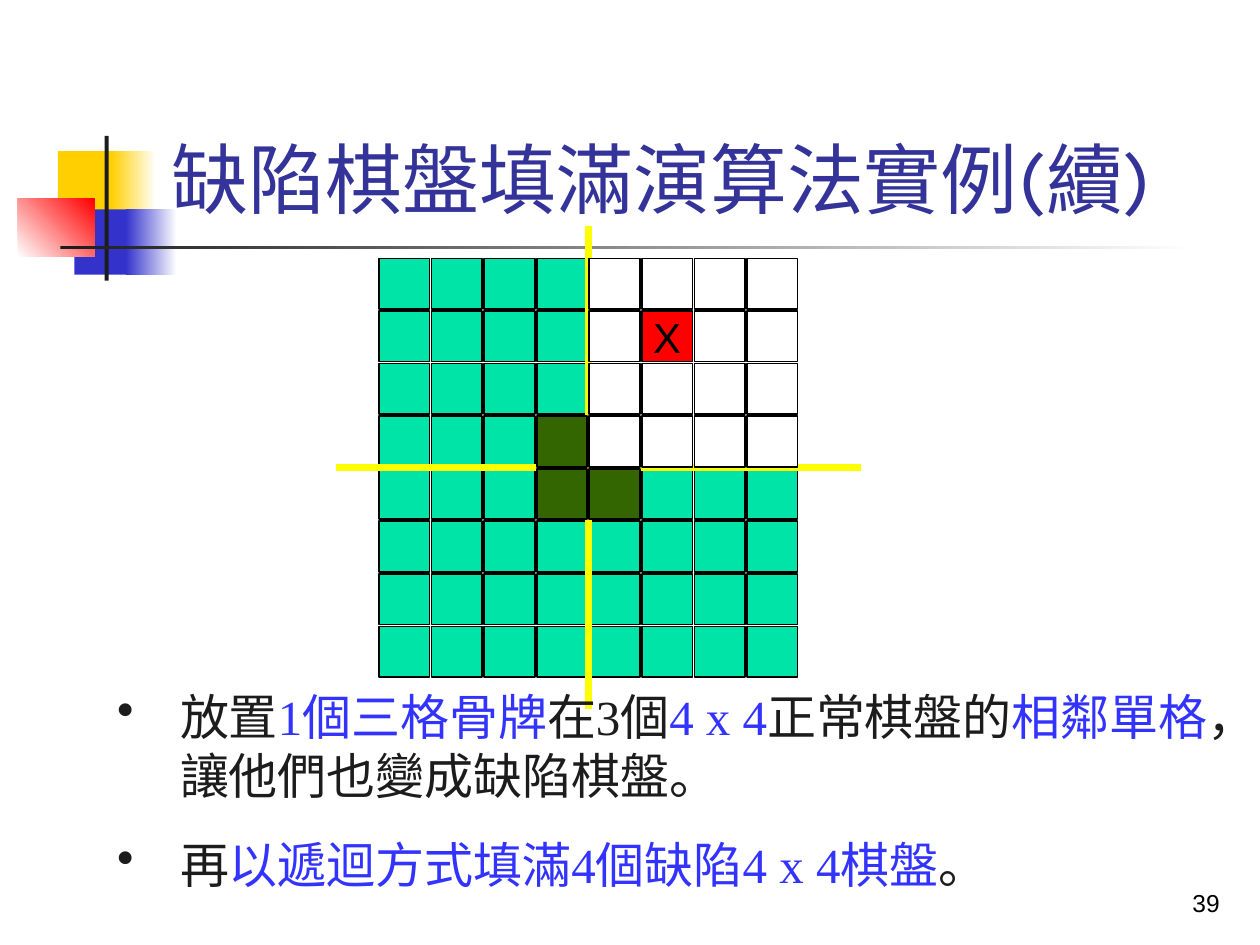
"""Build the slide on tiling a defective chessboard with triominoes."""
from itertools import product
from lxml.etree import SubElement
from pptx import Presentation
from pptx.dml.color import RGBColor
from pptx.enum.shapes import MSO_CONNECTOR, MSO_SHAPE
from pptx.enum.text import MSO_ANCHOR, PP_ALIGN
from pptx.oxml.ns import qn
from pptx.util import Cm, Pt


def rgb(value):
    return RGBColor.from_string(value)


def add_text(sp, runs, size, name, **frame):
    tf = sp.text_frame
    for key, value in frame.items():
        setattr(tf, key, value)
    p = tf.paragraphs[0]
    for text, color in runs:
        r = p.add_run()
        r.text = text
        for key, value in {"size": Pt(size), "name": name}.items():
            setattr(r.font, key, value)
        r.font.color.rgb = rgb(color)
    return p


prs = Presentation()
for key, value in {"slide_width": Cm(25.4), "slide_height": Cm(19.05)}.items():
    setattr(prs, key, value)
s = prs.slides.add_slide(prs.slide_layouts[6])

DARK, BLUE, BLACK, WHITE = "1C1C1C", "3333FF", "000000", "FFFFFF"
decor = [
    (1.17, 3.05, 1.22, 1.32, ["FFCF01"], 0),
    (2.24, 3.05, 0.91, 1.32, ["FFCF01", WHITE], 0),
    (1.5, 4.22, 1.17, 1.32, ["3333CC"], 0),
    (2.54, 4.22, 1.02, 1.32, ["3333CC", WHITE], 0),
    (0.36, 4.01, 1.55, 1.17, [WHITE, "FF0000"], 45),
    (2.11, 2.74, 0.08, 2.92, [DARK], 0),
    (1.22, 4.95, 22.86, 0.08, [DARK, WHITE], 0),
]
for x, y, w, h, colors, angle in decor:
    sp = s.shapes.add_shape(MSO_SHAPE.RECTANGLE, Cm(x), Cm(y), Cm(w), Cm(h))
    sp.shadow.inherit = False
    sp.line.fill.background()
    if len(colors) == 1:
        sp.fill.solid()
        sp.fill.fore_color.rgb = rgb(colors[0])
    else:
        sp.fill.gradient()
        sp.fill.gradient_angle = angle
        for stop, color in zip(sp.fill.gradient_stops, colors):
            stop.color.rgb = rgb(color)

left, top, pitch, side = 7.64, 5.21, 1.06, 1.02
triomino = [(3, 3), (4, 3), (4, 4)]
defect = (1, 5)
board = [c for c in product(range(8), repeat=2) if c not in triomino]
quadrant = [c for c in board if c[0] < 4 <= c[1]]
covered = [c for c in board if c not in quadrant]


def add_cells(cells, color):
    group = s.shapes.add_group_shape()
    for row, col in cells:
        sp = group.shapes.add_shape(MSO_SHAPE.RECTANGLE, Cm(left + col * pitch),
                                    Cm(top + row * pitch), Cm(side), Cm(side))
        sp.shadow.inherit = False
        sp.fill.solid()
        sp.fill.fore_color.rgb = rgb("FF0000" if (row, col) == defect else color)
        sp.line.color.rgb = rgb(BLACK)
        sp.line.width = Pt(1)
        if (row, col) == defect:
            p = add_text(sp, [("X", BLACK)], 24, "Arial", word_wrap=False,
                         vertical_anchor=MSO_ANCHOR.MIDDLE)
            p.alignment = PP_ALIGN.CENTER


add_cells(covered, "00E4A8")

for ends in [(11.86, 4.55, 11.86, 14.3), (6.78, 9.42, 17.35, 9.42)]:
    sp = s.shapes.add_connector(MSO_CONNECTOR.STRAIGHT, *map(Cm, ends))
    sp.line.color.rgb = rgb("FFFF00")
    sp.line.width = Pt(4)
    SubElement(sp._element.spPr, qn("a:effectLst"))

bullets = [
    (13.72, 2.64, [("放置", DARK), ("1個三格骨牌", BLUE), ("在3個", DARK),
                   ("4 x 4", BLUE), ("正常棋盤的", DARK), ("相鄰單格", BLUE),
                   ("，讓他們也變成缺陷棋盤。", DARK)]),
    (16.69, 1.45, [("再", DARK), ("以遞迴方式填滿4個缺陷4 x 4棋盤", BLUE),
                   ("。", DARK)]),
]
for y, h, runs in bullets:
    sp = s.shapes.add_textbox(Cm(2.11), Cm(y), Cm(22.66), Cm(h))
    p = add_text(sp, runs, 28, "Times New Roman", word_wrap=True)
    pPr = p._p.get_or_add_pPr()
    for key, value in {"marL": Cm(1.27), "indent": -Cm(1.27)}.items():
        pPr.set(key, str(int(value)))
    SubElement(pPr, qn("a:buChar")).set("char", "•")

add_cells(quadrant, WHITE)
add_cells(triomino, "336600")

sp = s.shapes.add_textbox(Cm(3.2), Cm(0.58), Cm(20.7), Cm(4.06))
add_text(sp, [("缺陷棋盤填滿演算法實例(續)", "333399")], 44, "Karla",
         word_wrap=True, vertical_anchor=MSO_ANCHOR.BOTTOM)

sp = s.shapes.add_textbox(Cm(19.56), Cm(17.35), Cm(5.28), Cm(1.27))
p = add_text(sp, [("39", BLACK)], 14, "Arial", word_wrap=True,
             vertical_anchor=MSO_ANCHOR.BOTTOM)
p.alignment = PP_ALIGN.RIGHT

prs.save("out.pptx")
